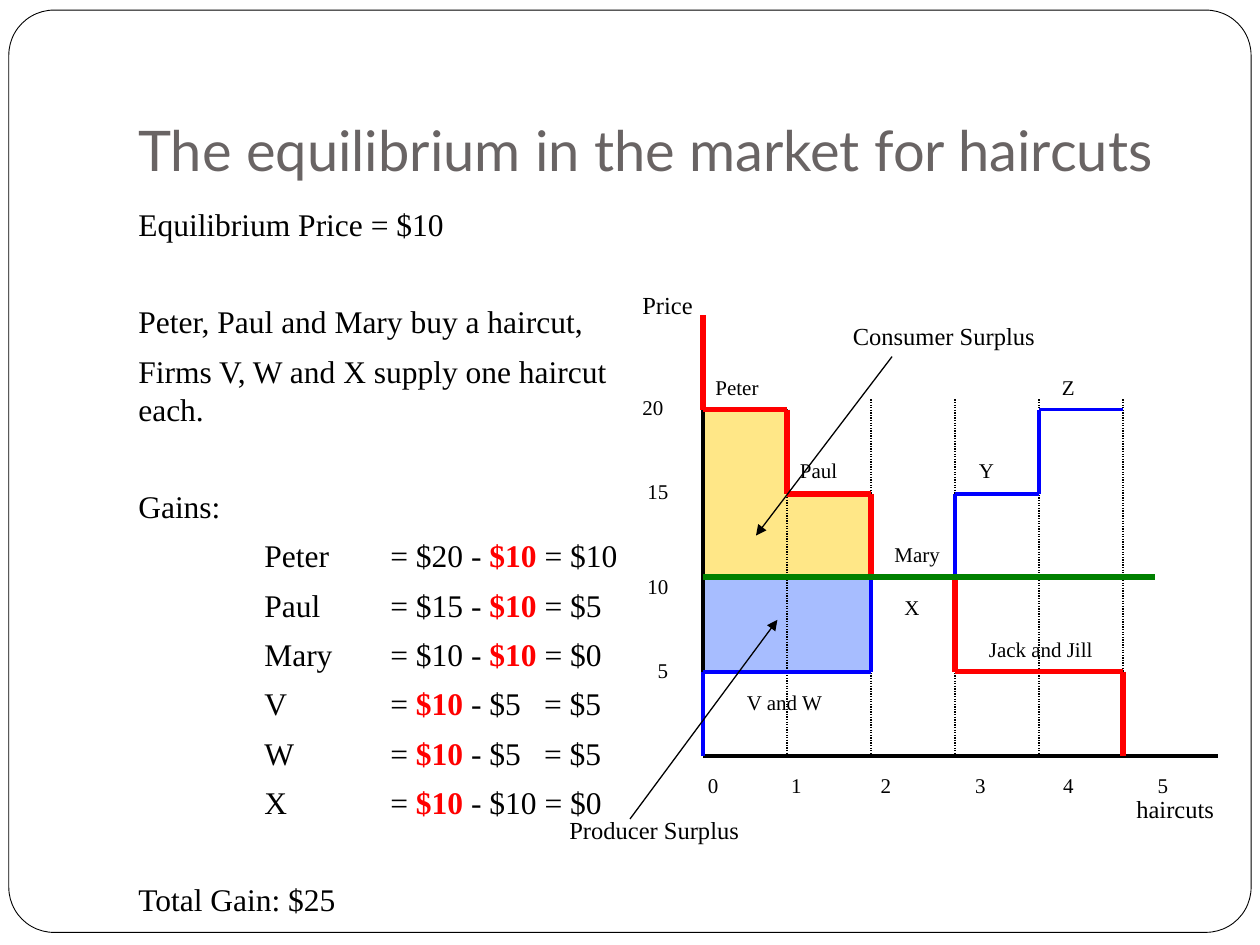
from itertools import pairwise
from lxml.etree import SubElement as Sub
from pptx import Presentation
from pptx.dml.color import RGBColor as RGB
from pptx.enum.dml import MSO_LINE as Dash
from pptx.enum.shapes import MSO_CONNECTOR as Conn, MSO_SHAPE as Shape
from pptx.enum.text import MSO_ANCHOR as Anchor
from pptx.oxml.ns import qn
from pptx.util import Inches, Pt

BLACK = RGB(0, 0, 0)
WHITE = RGB(255, 255, 255)
RED = RGB(255, 0, 0)
BLUE = RGB(0, 0, 255)
GREEN = RGB(0, 128, 0)
GRAY = RGB(0x69, 0x64, 0x64)
GOLD = RGB(255, 0xCC, 0)
SKY = RGB(0x33, 0x66, 255)
SERIF = "Times New Roman"

deck = Presentation()
deck.slide_width, deck.slide_height = Inches(10), Inches(7.5)
slide = deck.slides.add_slide(deck.slide_layouts[6])
shapes = slide.shapes


def add_line(start, end, color, width, dash=None, arrow=False):
    line = shapes.add_connector(Conn.STRAIGHT, *map(Inches, (*start, *end)))
    fmt = {"width": Pt(width), "dash_style": dash}
    for key, val in fmt.items():
        setattr(line.line, key, val)
    line.line.color.rgb = color
    props = line._element.spPr
    if arrow:
        Sub(props.get_or_add_ln(), qn("a:tailEnd"), type="triangle")
    Sub(props, qn("a:effectLst"))


def add_text(left, top, width, height, rows, size, color=BLACK, face=SERIF, tabs=()):
    """Each row is (space before, parts); odd parts are bold and red."""
    frame = shapes.add_textbox(*map(Inches, (left, top, width, height))).text_frame
    frame.word_wrap = True
    for num, (gap, parts) in enumerate(rows):
        para = frame.add_paragraph() if num else frame.paragraphs[0]
        if tabs:
            stops = Sub(para._p.get_or_add_pPr(), qn("a:tabLst"))
            for pos in tabs:
                Sub(stops, qn("a:tab"), pos=str(Inches(pos)), algn="l")
        para.space_before = Pt(gap)
        for spot, part in enumerate(parts):
            run = para.add_run()
            run.text = part
            fmt = {"name": face, "size": Pt(size), "bold": spot % 2 == 1}
            for key, val in fmt.items():
                setattr(run.font, key, val)
            run.font.color.rgb = RED if spot % 2 else color
    return frame


# Slide frame
card = shapes.add_shape(Shape.ROUNDED_RECTANGLE, *map(Inches, (0.07, 0.08, 9.86, 7.32)))
card.adjustments[0] = 0.049
card.shadow.inherit = False
card.fill.solid()
card.fill.fore_color.rgb = WHITE
card.line.color.rgb = BLACK
card.line.width = Pt(0.5)

# Chart grid: haircuts across, price up
xs = [5.58 + 2 * num / 3 for num in range(6)]
ys = {25: 2.5, 20: 3.25, 15: 3.92, 10: 4.58, 5: 5.33, 0: 6}

# Surplus areas
areas = [
    ([(0, 10), (2, 10), (2, 5), (0, 5)], SKY, 43, BLUE),
    ([(0, 20), (1, 20), (1, 15), (2, 15), (2, 10), (0, 10)], GOLD, 47, BLACK),
]
for steps, fill, alpha, edge in areas:
    spots = [(Inches(xs[qty]), Inches(ys[price])) for qty, price in steps]
    path = shapes.build_freeform(*spots[0])
    path.add_line_segments(spots[1:], close=True)
    area = path.convert_to_shape()
    area.shadow.inherit = False
    area.fill.solid()
    area.fill.fore_color.rgb = fill
    tint = area._element.spPr.find(qn("a:solidFill"))[0]
    Sub(tint, qn("a:alpha"), val=str(alpha * 1000))
    area.line.color.rgb = edge
    area.line.width = Pt(0.75)

# Title and body
title = add_text(1, 0.3, 8.5, 1.25, [(0, ["The equilibrium in the market for haircuts"])],
                 32, GRAY, "Lato")
title.vertical_anchor = Anchor.BOTTOM
title.margin_bottom = Inches(0.1)
near, far = 6.6, 34
rows = [
    (0, ["Equilibrium Price = $10"]),
    (far, ["Peter, Paul and Mary buy a haircut,"]),
    (near, ["Firms V, W and X supply one haircut each."]),
    (far, ["Gains:"]),
    (near, ["\tPeter\t= $20 - ", "$10", " = $10"]),
    (near, ["\tPaul\t= $15 - ", "$10", " = $5"]),
    (near, ["\tMary\t= $10 - ", "$10", " = $0"]),
    (near, ["\tV\t= ", "$10", " - $5\t= $5"]),
    (near, ["\tW\t= ", "$10", " - $5\t= $5"]),
    (near, ["\tX\t= ", "$10", " - $10 = $0"]),
    (far, ["Total Gain: $25"]),
]
add_text(1, 1.58, 4.1, 5, rows, 18, tabs=(1, 2, 3.22))

# Axes and dotted guides
add_line((xs[0], ys[25]), (xs[0], ys[0]), BLACK, 2.25)
add_line((xs[0], ys[0]), (9.67, ys[0]), BLACK, 2.25)
for num, left in enumerate(xs[1:]):
    add_line((left, 3.17 if num else ys[20]), (left, ys[0]), BLACK, 0.75, Dash.ROUND_DOT)

# Demand and supply steps
demand = [(0, 25), (0, 20), (1, 20), (1, 15), (2, 15), (2, 10), (3, 10),
          (3, 5), (4, 5), (5, 5), (5, 0)]
supply = [(0, 0), (0, 5), (2, 5), (2, 10), (3, 10), (3, 15), (4, 15), (4, 20), (5, 20)]
for steps, color, width in ((demand, RED, 3), (supply, BLUE, 2.25)):
    spots = [(xs[qty], ys[price]) for qty, price in steps]
    for start, end in pairwise(spots):
        add_line(start, end, color, width)

# Equilibrium price
add_line((xs[0], ys[10]), (9.17, ys[10]), GREEN, 3)

# Labels
labels = [
    ("20", 5, 3.08, 0.58, 12), ("15", 5.04, 3.75, 0.58, 12),
    ("10", 5.04, 4.5, 0.58, 12), ("5", 5.12, 5.17, 0.58, 12),
    ("Price", 5, 2.25, 1.33, 14), ("haircuts", 8.92, 6.25, 0.92, 14),
    ("Peter", 5.58, 2.92, 0.75, 12), ("Paul", 6.25, 3.58, 0.75, 12),
    ("Mary", 7, 4.25, 1.42, 12), ("Jack and Jill", 7.75, 5, 1.42, 12),
    ("V and W", 5.83, 5.42, 0.92, 12), ("X", 7.08, 4.67, 0.42, 12),
    ("Y", 7.67, 3.58, 0.67, 12), ("Z", 8.33, 2.92, 0.5, 12),
    ("Consumer Surplus", 6.67, 2.5, 2.17, 14),
    ("Producer Surplus", 4.42, 6.42, 2.33, 14),
]
for text, left, top, width, size in labels:
    add_text(left, top, width, 0.3, [(0, [text])], size)
add_text(5.39, 6.08, 4, 0.3, [(0, ["\t0\t1\t2\t3\t4\t5"])], 12,
         tabs=(0.13, 0.79, 1.5, 2.25, 2.95, 3.7))

# Surplus arrows
add_line((7.08, 2.83), (6, 4.25), BLACK, 0.75, arrow=True)
add_line((5, 6.5), (6.17, 4.92), BLACK, 0.75, arrow=True)

deck.save("out.pptx")
